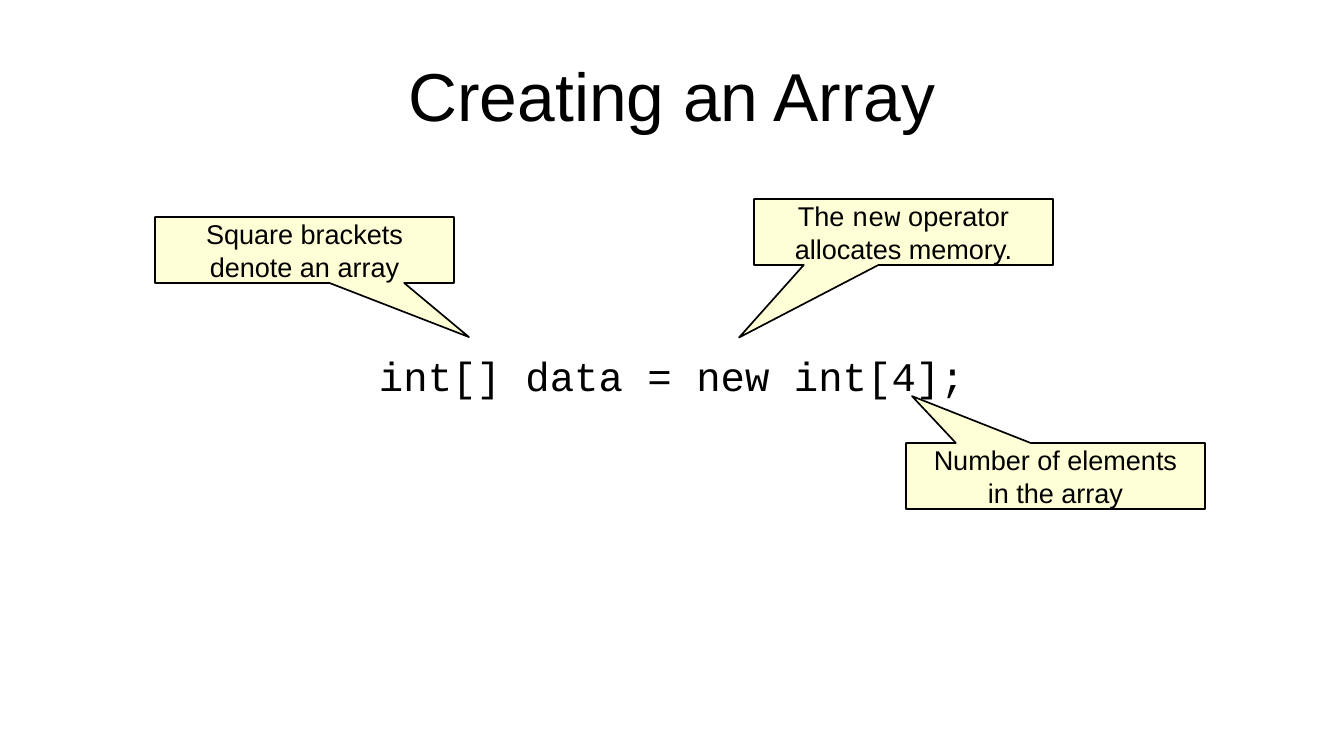
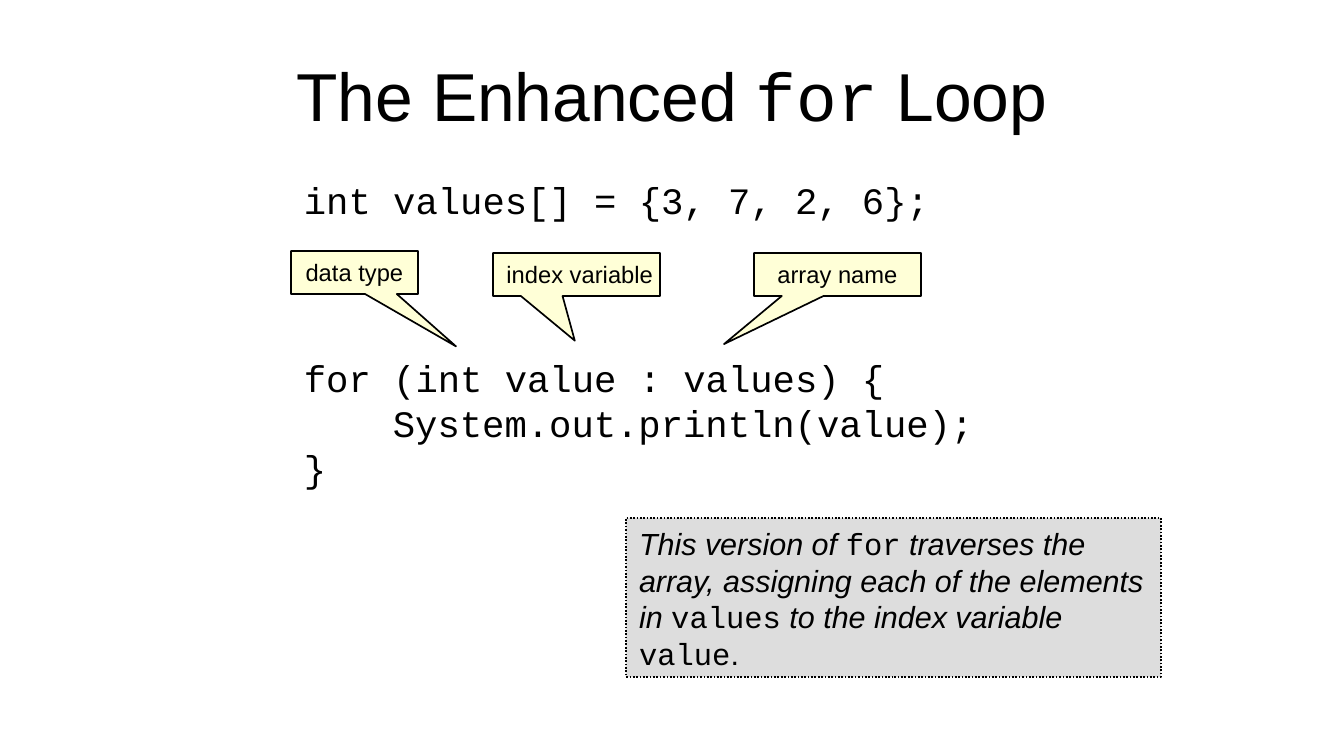
from dataclasses import dataclass

from pptx import Presentation
from pptx.dml.color import RGBColor
from pptx.enum.dml import MSO_LINE
from pptx.enum.shapes import MSO_SHAPE
from pptx.enum.text import MSO_ANCHOR, PP_ALIGN
from pptx.util import Pt

PX = 914400 / 122


@dataclass(frozen=True)
class Theme:
    ink: RGBColor = RGBColor(0x00, 0x00, 0x00)
    callout: RGBColor = RGBColor(0xFF, 0xFF, 0xD7)
    note: RGBColor = RGBColor(0xDD, 0xDD, 0xDD)
    title: int = 40
    declaration: int = 24
    code: int = 22
    note_text: int = 18
    label: int = 16
    small_label: int = 14


theme = Theme()
FONTS = {
    "sans": {"name": "Arial", "italic": False},
    "emph": {"name": "Arial", "italic": True},
    "code": {"name": "Courier New", "italic": False},
}


def px(n):
    return round(n * PX)


def write(sp, lines, size, align=PP_ALIGN.CENTER, anchor=MSO_ANCHOR.MIDDLE, wrap=True, inset=(0, 0)):
    """Fill a shape with lines, each a list of (text, font key) runs; return the paragraphs."""
    tf = sp.text_frame
    x, y = px(inset[0]), px(inset[1])
    frame = {"word_wrap": wrap, "vertical_anchor": anchor, "margin_left": x,
             "margin_right": x, "margin_top": y, "margin_bottom": y}
    for key, value in frame.items():
        setattr(tf, key, value)
    for i, runs in enumerate(lines):
        p = tf.add_paragraph() if i else tf.paragraphs[0]
        p.alignment = align
        for text, font in runs:
            r = p.add_run()
            r.text = text
            for key, value in (FONTS[font] | {"size": Pt(size)}).items():
                setattr(r.font, key, value)
            r.font.color.rgb = theme.ink
    return tf.paragraphs


TOP_LEFT = {"align": PP_ALIGN.LEFT, "anchor": MSO_ANCHOR.TOP}
CODE_INSET = (12, 6)
SHAPE_INSET = (13, 7)
LABEL_BOX = (299, 66)
VARIABLE_BOX = (167, 43)

# Callouts: left, top, (width, height), pointer offsets, type size, lines
slides = [
    {
        "title": [("Creating an Array", "sans")],
        "code_box": (367, 345, 610, 59),
        "code_size": theme.declaration,
        "code": ["int[] data = new int[4];"],
        "callouts": [
            (155, 217, LABEL_BOX, (0.55, 1.32), theme.label,
             [[("Square brackets", "sans")], [("denote an array", "sans")]]),
            (754, 199, LABEL_BOX, (-0.55, 1.6), theme.label,
             [[("The ", "sans"), ("new", "code"), (" operator", "sans")],
              [("allocates memory.", "sans")]]),
            (906, 443, LABEL_BOX, (-0.48, -1.21), theme.label,
             [[("Number of elements", "sans")], [("in the array", "sans")]]),
        ],
    },
    {
        "title": [("The Enhanced ", "sans"), ("for", "code"), (" Loop", "sans")],
        "code_box": (292, 171, 695, 349),
        "code_size": theme.code,
        "code": ["int values[] = {3, 7, 2, 6};", "for (int value : values) {",
                 "System.out.println(value);", "}"],
        "callouts": [
            (493, 253, VARIABLE_BOX, (-0.01, 1.54), theme.small_label,
             [[(" index variable", "sans")]]),
            (754, 253, VARIABLE_BOX, (-0.68, 1.62), theme.small_label,
             [[("array name", "sans")]]),
            (291, 251, (127, 43), (0.8, 1.72), theme.small_label,
             [[("data type", "sans")]]),
        ],
    },
]

prs = Presentation()
prs.slide_width, prs.slide_height = px(1344), px(756)

for content in slides:
    s = prs.slides.add_slide(prs.slide_layouts[6])
    title = s.shapes.add_textbox(px(67), px(31), px(1210), px(127))
    write(title, [content["title"]], theme.title)

    code = s.shapes.add_textbox(*map(px, content["code_box"]))
    code_lines = write(code, [[(line, "code")] for line in content["code"]],
                       content["code_size"], inset=CODE_INSET, **TOP_LEFT)

    for left, top, (width, height), pointer, size, lines in content["callouts"]:
        sp = s.shapes.add_shape(MSO_SHAPE.RECTANGULAR_CALLOUT,
                                px(left), px(top), px(width), px(height))
        sp.adjustments[0], sp.adjustments[1] = pointer
        sp.shadow.inherit = False
        sp.fill.solid()
        sp.fill.fore_color.rgb = theme.callout
        sp.line.color.rgb = theme.ink
        sp.line.width = Pt(1)
        write(sp, lines, size, wrap=False, inset=SHAPE_INSET)

# The loop slide: room for the callouts above the loop, an indented body and a note
code_lines[1].space_before = px(134)
code_lines[2]._p.get_or_add_pPr().set("marL", str(px(89)))

note = s.shapes.add_shape(MSO_SHAPE.RECTANGLE, px(626), px(518), px(535), px(159))
note.shadow.inherit = False
note.fill.solid()
note.fill.fore_color.rgb = theme.note
note.line.color.rgb = theme.ink
note.line.width = Pt(1)
note.line.dash_style = MSO_LINE.ROUND_DOT
write(note, [[("This version of ", "emph"), ("for", "code"),
              (" traverses the array, assigning each of the elements in ", "emph"),
              ("values", "code"), (" to the index variable ", "emph"),
              ("value", "code"), (".", "sans")]],
      theme.note_text, inset=SHAPE_INSET, **TOP_LEFT)

prs.save("out.pptx")
